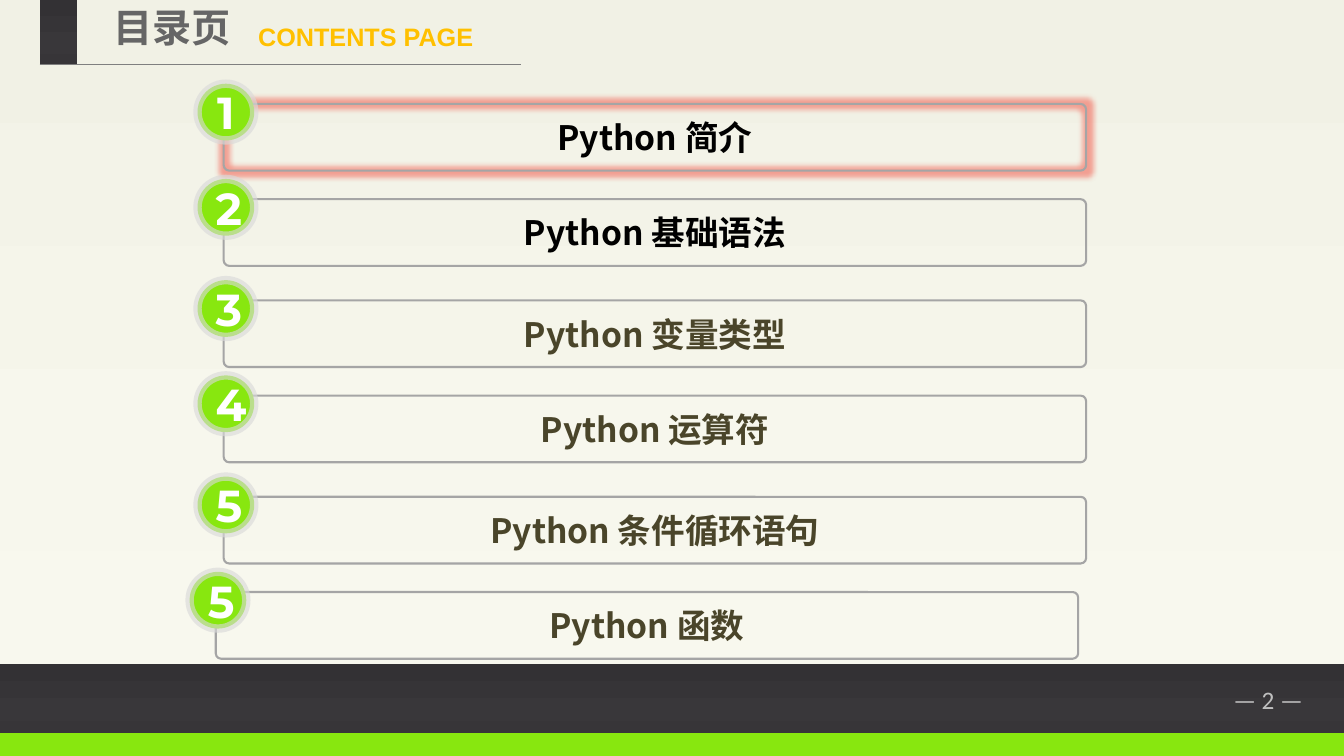
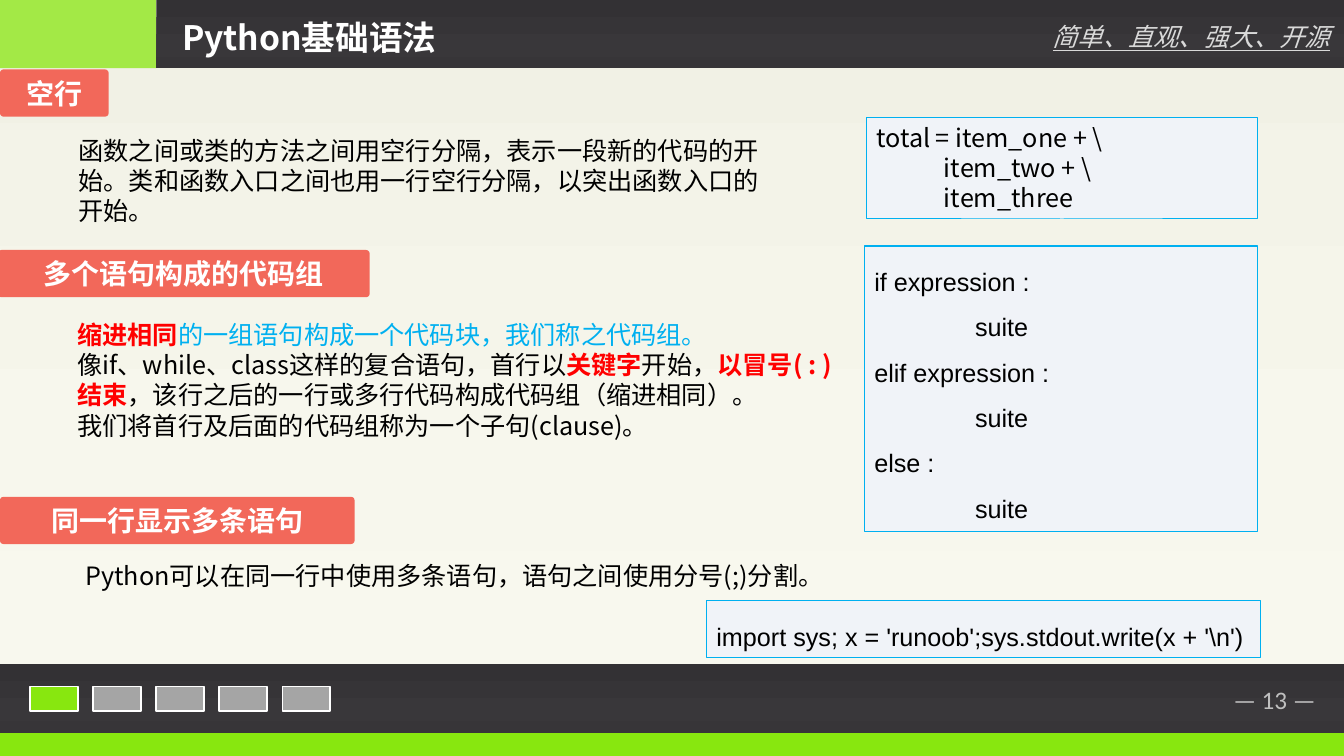
import dataclasses
import pptx
import pptx.dml.color
import pptx.enum.shapes
import pptx.enum.text
import pptx.oxml.ns
import pptx.util
import lxml.etree

Cm = pptx.util.Cm
Pt = pptx.util.Pt
Kind = pptx.enum.shapes.MSO_SHAPE
Align = pptx.enum.text.PP_ALIGN
Mid = pptx.enum.text.MSO_ANCHOR.MIDDLE
Top = pptx.enum.text.MSO_ANCHOR.TOP
qn = pptx.oxml.ns.qn


@dataclasses.dataclass(frozen=True)
class Theme:
    """Colours, fonts and type sizes of the deck."""
    green: str = "88E70F"
    coral: str = "F2685A"
    white: str = "FFFFFF"
    black: str = "000000"
    olive: str = "4A452A"
    grey: str = "A5A5A5"
    pale: str = "D9D9D9"
    rule: str = "7F7F7F"
    slate: str = "666666"
    gold: str = "FFC000"
    faint: str = "BFBFBF"
    red: str = "FF0000"
    blue: str = "00B0F0"
    ice: str = "F0F3F8"
    dark: tuple = ((0, "333134"), (74, "39373A"), (83, "373538"), (100, "363436"))
    cream: tuple = ((0, "F1F1E5"), (74, "F7F7ED"), (83, "F8F8EE"), (100, "F9F9EF"))
    han: str = "Noto Sans CJK SC"
    sans: str = "Arial"
    foot: str = "Calibri"
    round: str = "Montserrat"
    body: int = 18
    label: int = 20
    head: int = 24
    title: int = 28
    digit: int = 32


T = Theme()
WIDE, HIGH = 33.88, 19.05
BAND = 1.72


def rgb(hue):
    """Turn a hex string into a colour."""
    return pptx.dml.color.RGBColor.from_string(hue)


def put(obj, vals):
    """Set each named value on the object."""
    for name, val in vals.items():
        setattr(obj, name, val)


def look(hue=T.black, size=T.body, name=T.han, **more):
    """Make a text format."""
    return {"hue": hue, "size": Pt(size), "name": name, **more}


def node(home, tag, **vals):
    """Add one drawing element."""
    return lxml.etree.SubElement(home, qn(tag), vals)


def fade(color, part):
    """Make a solid colour see-through, by percent kept."""
    node(color, "a:alpha", val=str(part * 1000))


def blend(shape, stops):
    """Fill a shape with a downward gradient."""
    shape.fill.gradient()
    shape.fill.gradient_angle = 270
    stack = shape.element.spPr.find(".//" + qn("a:gsLst"))
    for old in list(stack):
        stack.remove(old)
    for place, hue in stops:
        stop = node(stack, "a:gs", pos=str(place * 1000))
        node(stop, "a:srgbClr", val=hue)


def draw(host, kind, box, fill=None, line=None, width=1, bend=None):
    """Add a preset shape with its fill and line."""
    shape = host.shapes.add_shape(kind, *map(Cm, box))
    shape.shadow.inherit = False
    if bend is not None:
        shape.adjustments[0] = bend
    if isinstance(fill, tuple):
        blend(shape, fill)
    elif fill:
        shape.fill.solid()
        shape.fill.fore_color.rgb = rgb(fill)
    else:
        shape.fill.background()
    if line:
        shape.line.color.rgb = rgb(line)
        shape.line.width = Pt(width)
    else:
        shape.line.fill.background()
    return shape


def fill_text(shape, rows, align=Align.LEFT, anchor=Top, lead=None, tab=None, wrap=True):
    """Write rows of (text, format) runs into a shape."""
    frame = shape.text_frame
    put(frame, {"word_wrap": wrap, "vertical_anchor": anchor})
    for num, row in enumerate(rows):
        para = frame.add_paragraph() if num else frame.paragraphs[0]
        if tab:
            tabs = node(para._p.get_or_add_pPr(), "a:tabLst")
            node(tabs, "a:tab", pos=str(Cm(tab)), algn="l")
        put(para, {"alignment": align, "line_spacing": lead})
        for words, form in row:
            run = para.add_run()
            run.text = words
            put(run.font, {key: val for key, val in form.items() if key != "hue"})
            run.font.color.rgb = rgb(form["hue"])
            node(run._r.get_or_add_rPr(), "a:ea", typeface=form["name"])


def note(slide, box, rows, **more):
    """Add a text box."""
    fill_text(slide.shapes.add_textbox(*map(Cm, box)), rows, **more)


def base(deck, page):
    """Add a slide with the shared ground, bands and page number."""
    slide = deck.slides.add_slide(deck.slide_layouts[6])
    foot = 16.74
    draw(slide, Kind.RECTANGLE, (0, 0, WIDE, foot), T.cream)
    draw(slide, Kind.RECTANGLE, (0, 18.44, WIDE, HIGH - 18.44), T.green)
    draw(slide, Kind.RECTANGLE, (0, foot, WIDE, BAND), T.dark)
    note(slide, (30.84, foot + 0.38, 3.02, 1.02),
         [[(f"— {page} —", look(T.faint, name=T.foot))]], wrap=False)
    return slide


def mast(slide, box):
    """Draw the heading of the contents page."""
    x, y, w, h = box
    draw(slide, Kind.RECTANGLE, (x, y, 0.94, h), T.dark)
    note(slide, (x + 1.6, y - 0.03, 4.04, 1.45),
         [[("目录页", look(T.slate, T.title, bold=True))]])
    note(slide, (x + 5.26, y + 0.41, 6.81, 1.02),
         [[("CONTENTS PAGE", look(T.gold, name=T.sans, bold=True))]])
    line = slide.shapes.add_connector(pptx.enum.shapes.MSO_CONNECTOR.STRAIGHT,
                                      *map(Cm, (x, y + h, x + w, y + h)))
    line.line.color.rgb = rgb(T.rule)
    line.line.width = Pt(0.75)
    node(line.element.spPr, "a:effectLst")


def entry(slide, box, digit, words, hue, glow):
    """Draw one framed entry with its numbered disc."""
    x, y, w, h = box
    group = slide.shapes.add_group_shape()
    frame = draw(group, Kind.ROUNDED_RECTANGLE, box, None, T.grey, 1.5, 0.082)
    fill_text(frame, [[(words, look(hue, T.head, bold=True))]], Align.CENTER, Mid)
    if glow:
        halo = node(frame.element.spPr.find(qn("a:effectLst")), "a:glow", rad=str(Pt(8)))
        fade(node(halo, "a:srgbClr", val=T.coral), 60)
    disc = draw(group, Kind.OVAL, (x - 0.66, y - 0.51, 1.43, 1.43), T.green, T.pale, 6)
    fade(disc.element.spPr.find(qn("a:ln")).find(".//" + qn("a:srgbClr")), 62)
    fill_text(disc, [[(digit, look(T.white, T.digit, T.round, bold=True))]], Align.CENTER, Mid)


def index(deck):
    """Build the contents page."""
    slide = base(deck, 2)
    mast(slide, (1, 0, 12.13, 1.63))
    items = (
        ("1", "Python 简介", T.black, 0),
        ("2", "Python 基础语法", T.black, 0),
        ("3", "Python 变量类型", T.olive, 0),
        ("4", "Python 运算符", T.olive, 0),
        ("5", "Python 条件循环语句", T.olive, 0),
        ("5", "Python 函数", T.olive, -0.2),
    )
    for num, (digit, words, hue, shift) in enumerate(items):
        pair, second = divmod(num, 2)
        box = (5.64 + shift, 2.62 + 4.95 * pair + 2.4 * second, 21.74, 1.68)
        entry(slide, box, digit, words, hue, num == 0)


def crown(slide, box, title, motto):
    """Draw the top band with title and motto."""
    x, y, w, h = box
    side = 3.94
    block = draw(slide, Kind.RECTANGLE, (x, y, side, h), T.green)
    fade(block.element.spPr.find(".//" + qn("a:srgbClr")), 74)
    draw(slide, Kind.RECTANGLE, (x + side, y, w - side, h), T.dark)
    note(slide, (x + w - 7.59, y + 0.41, 7.49, 1.02),
         [[(motto, look(T.pale, italic=True, underline=True))]])
    note(slide, (x + 4.34, y + 0.3, 16.2, 1.27),
         [[(title, look(T.white, T.head, bold=True))]])


def steps(slide, box, count):
    """Draw the progress marks with the first one lit."""
    x, y, w, h = box
    for num in range(count):
        draw(slide, Kind.RECTANGLE, (x + 1.59 * num, y, w, h),
             T.grey if num else T.green, T.white, 1.2)


def topic(slide, box, title, inset, rows):
    """Draw a section label with its text below."""
    x, y, w, h = box
    tag = draw(slide, Kind.ROUNDED_RECTANGLE, box, T.coral, bend=0.074)
    fill_text(tag, [[(title, look(T.white, T.label, bold=True))]], Align.CENTER, Mid)
    left, down, width, tall = inset
    note(slide, (x + left, y + down, width, tall), rows)


def code(slide, box, lines, **more):
    """Draw a framed code sample."""
    name = more.pop("name", T.sans)
    shape = draw(slide, Kind.RECTANGLE, box, T.ice, T.blue, 0.75)
    fill_text(shape, [[(line, look(name=name))] for line in lines], **more)


def syntax(deck):
    """Build the syntax page."""
    slide = base(deck, 13)
    crown(slide, (0, 0, WIDE, BAND), "Python基础语法", "简单、直观、强大、开源")
    steps(slide, (0.76, 17.3, 1.2, 0.61), 5)
    plain, key = look(), look(T.red, bold=True)
    topic(slide, (0, 1.75, 2.74, 1.19), "空行", (1.73, 1.53, 18.2, 2.54), [
        [("函数之间或类的方法之间用空行分隔，表示一段新的代码的开始。"
          "类和函数入口之间也用一行空行分隔，以突出函数入口的开始。", plain)]])
    topic(slide, (-0.05, 6.3, 9.37, 1.19), "多个语句构成的代码组", (1.75, 1.62, 19.96, 3.33), [
        [("缩进相同", key), ("的一组语句构成一个代码块，我们称之代码组。", look(T.blue))],
        [("像if、while、class这样的复合语句，首行以", plain), ("关键字", key),
         ("开始，", plain), ("以冒号( : )结束", key),
         ("，该行之后的一行或多行代码构成代码组（缩进相同）。", plain)],
        [("我们将首行及后面的代码组称为一个子句(clause)。", plain)]])
    topic(slide, (0, 12.52, 8.94, 1.19), "同一行显示多条语句", (1.9, 1.48, 19.3, 1.02), [
        [("Python可以在同一行中使用多条语句，语句之间使用分号(;)分割。", plain)]])
    code(slide, (21.84, 2.95, 9.86, 2.57),
         ("total = item_one + \\", "            item_two + \\", "            item_three"),
         name=T.han)
    code(slide, (21.79, 6.2, 9.91, 7.19),
         ("if expression :", "\tsuite", "elif expression :", "\tsuite", "else :", "\tsuite"),
         lead=1.5, tab=2.54)
    code(slide, (17.81, 15.14, 13.97, 1.42),
         ("import sys; x = 'runoob';sys.stdout.write(x + '\\n')",), lead=1.5)


def main():
    """Build and save the deck."""
    deck = pptx.Presentation()
    put(deck, {"slide_width": Cm(WIDE), "slide_height": Cm(HIGH)})
    index(deck)
    syntax(deck)
    deck.save("out.pptx")


if __name__ == "__main__":
    main()
